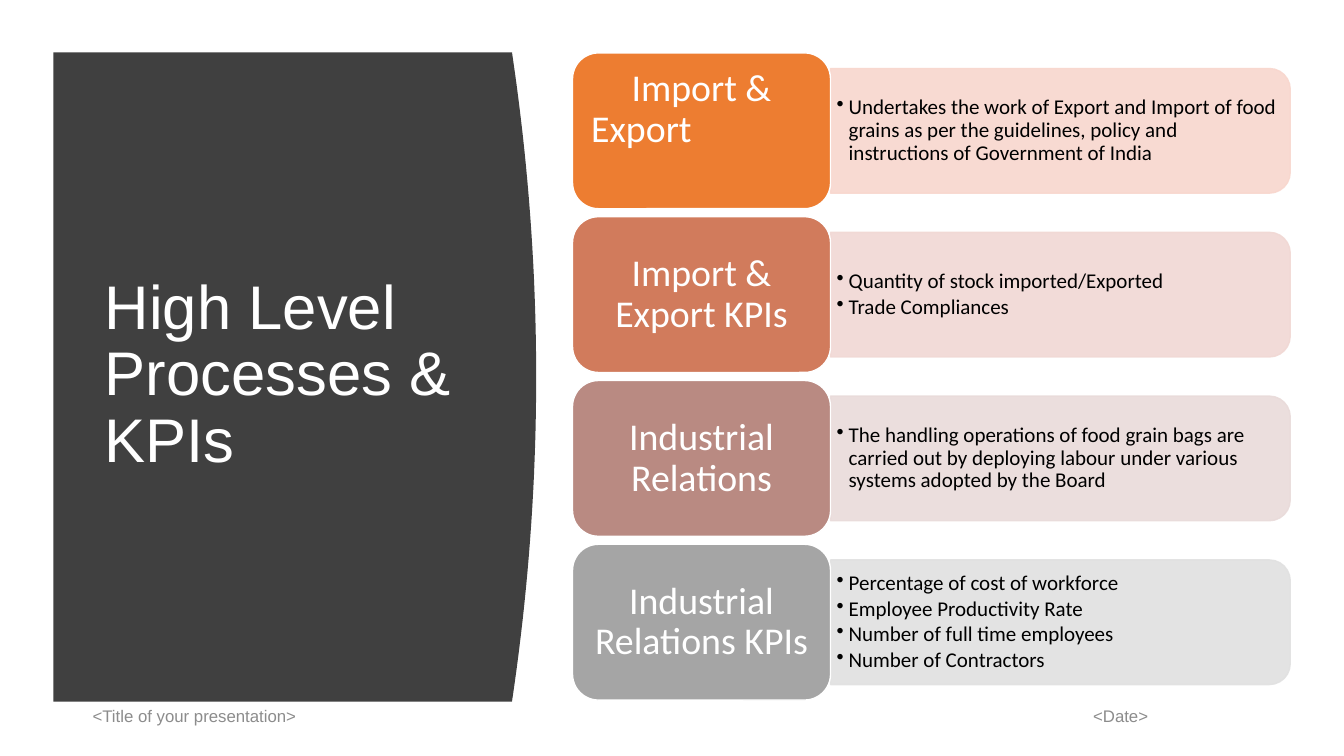
from dataclasses import dataclass

import pptx
import pptx.dml.color
import pptx.enum.shapes
import pptx.enum.text
import pptx.oxml.ns
import pptx.util
from lxml import etree

RGBColor = pptx.dml.color.RGBColor
MSO_SHAPE = pptx.enum.shapes.MSO_SHAPE
MSO_ANCHOR = pptx.enum.text.MSO_ANCHOR
PP_ALIGN = pptx.enum.text.PP_ALIGN
Inches = pptx.util.Inches
Pt = pptx.util.Pt

WHITE = RGBColor(0xFF, 0xFF, 0xFF)
BLACK = RGBColor(0x00, 0x00, 0x00)
CHARCOAL = RGBColor(0x40, 0x40, 0x40)
FOOTER_GRAY = RGBColor(0x8C, 0x8C, 0x8C)

# The slide is a grid of 160 columns by 90 rows; all boxes are in cells.
COLUMNS, ROWS = 160, 90
SLIDE_WIDTH, SLIDE_HEIGHT = Inches(13.333), Inches(7.5)


@dataclass(frozen=True)
class Box:
    left: float
    top: float
    width: float
    height: float

    def emu(self) -> tuple[int, int, int, int]:
        return (across(self.left), down(self.top),
                across(self.width), down(self.height))


@dataclass(frozen=True)
class Process:
    label: tuple[str, ...]
    details: tuple[str, ...]
    card_color: RGBColor
    detail_color: RGBColor


@dataclass(frozen=True)
class Footer:
    text: str
    box: Box
    align: PP_ALIGN


PANEL = Box(6.36, 6.24, 54.6, 77.28)
PANEL_BULGE = 2.88
PANEL_STEPS = 40
TITLE = Box(11.28, 13.32, 44.88, 62.88)

CARD = Box(68.16, 6.3, 30.72, 18.55)
CARD_PITCH = 19.5
DETAIL_WIDTH, DETAIL_HEIGHT = 54.72, 14.84
DETAIL_TEXT_WIDTH, DETAIL_TEXT_HEIGHT = 54, 13.44

PROCESSES = (
    Process(("Import &", "Export"),
            ("Undertakes the work of Export and Import of food grains as per "
             "the guidelines, policy and instructions of Government of India",),
            RGBColor(0xED, 0x7D, 0x31), RGBColor(0xF8, 0xD7, 0xCE)),
    Process(("Import & Export KPIs",),
            ("Quantity of stock imported/Exported", "Trade Compliances"),
            RGBColor(0xD1, 0x7B, 0x5C), RGBColor(0xF1, 0xD8, 0xD4)),
    Process(("Industrial Relations",),
            ("The handling operations of food grain bags are carried out by "
             "deploying labour under various systems adopted by the Board",),
            RGBColor(0xB9, 0x8A, 0x82), RGBColor(0xE9, 0xDB, 0xDA)),
    Process(("Industrial Relations KPIs",),
            ("Percentage of cost of workforce", "Employee Productivity Rate",
             "Number of full time employees", "Number of Contractors"),
            RGBColor(0xA5, 0xA5, 0xA5), RGBColor(0xE1, 0xE1, 0xE1)),
)

FOOTERS = (
    Footer("<Title of your presentation>", Box(9.84, 83.4, 54, 4.8), PP_ALIGN.LEFT),
    Footer("<Date>", Box(101.88, 83.4, 36, 4.8), PP_ALIGN.RIGHT),
)


def across(columns: float) -> int:
    return round(SLIDE_WIDTH * columns / COLUMNS)


def down(rows: float) -> int:
    return round(SLIDE_HEIGHT * rows / ROWS)


def format_text(paragraph, size: float, font: str, color: RGBColor,
                align=PP_ALIGN.LEFT, line_spacing: float = 1.0) -> None:
    paragraph.alignment = align
    paragraph.line_spacing = line_spacing
    for run in paragraph.runs:
        run.font.size = Pt(size)
        run.font.name = font
        run.font.color.rgb = color


def set_insets(frame, side: float, end: float) -> None:
    frame.word_wrap = True
    frame.vertical_anchor = MSO_ANCHOR.MIDDLE
    frame.margin_left = frame.margin_right = Inches(side)
    frame.margin_top = frame.margin_bottom = Inches(end)


def paint(shape, fill: RGBColor, line: RGBColor) -> None:
    shape.shadow.inherit = False
    shape.fill.solid()
    shape.fill.fore_color.rgb = fill
    shape.line.color.rgb = line
    shape.line.width = Pt(1)


def add_bullet(paragraph) -> None:
    properties = paragraph._p.get_or_add_pPr()
    properties.set("marL", str(Inches(0.12)))
    properties.set("indent", str(Inches(-0.12)))
    bullet = etree.SubElement(properties, pptx.oxml.ns.qn("a:buChar"))
    bullet.set("char", "•")


def add_panel(slide) -> None:
    """Dark panel whose right edge bulges along a parabola."""
    edge = []
    for step in range(PANEL_STEPS + 1):
        share = step / PANEL_STEPS
        bulge = PANEL_BULGE * (1 - (2 * share - 1) ** 2)
        edge.append((across(PANEL.left + PANEL.width + bulge),
                     down(PANEL.top + PANEL.height * share)))
    left, top = across(PANEL.left), down(PANEL.top)
    builder = slide.shapes.build_freeform(left, top)
    builder.add_line_segments(edge + [(left, edge[-1][1])], close=True)
    panel = builder.convert_to_shape()
    paint(panel, CHARCOAL, CHARCOAL)
    panel.line.fill.background()


def add_title(slide) -> None:
    title = slide.shapes.title
    slide.shapes._spTree.append(title._element)  # in front of the panel
    title.left, title.top, title.width, title.height = TITLE.emu()
    frame = title.text_frame
    frame.text = "High Level Processes & KPIs"
    frame.auto_size = pptx.enum.text.MSO_AUTO_SIZE.NONE
    set_insets(frame, 0.1, 0.05)
    format_text(frame.paragraphs[0], 44, "Arial", WHITE, line_spacing=0.9)


def add_footer(slide, footer: Footer) -> None:
    frame = slide.shapes.add_textbox(*footer.box.emu()).text_frame
    frame.word_wrap = True
    frame.text = footer.text
    format_text(frame.paragraphs[0], 12, "Arial", FOOTER_GRAY, footer.align)


def add_details(slide, process: Process, middle: float) -> None:
    left = CARD.left + CARD.width

    # Bar with its two rounded corners turned to the right
    center_x, center_y = across(left + DETAIL_WIDTH / 2), down(middle)
    width, height = down(DETAIL_HEIGHT), across(DETAIL_WIDTH)
    bar = slide.shapes.add_shape(
        MSO_SHAPE.ROUND_2_SAME_RECTANGLE,
        center_x - width // 2, center_y - height // 2, width, height)
    bar.rotation = 90
    paint(bar, process.detail_color, process.detail_color)
    for color in bar._element.spPr.iter(pptx.oxml.ns.qn("a:srgbClr")):
        etree.SubElement(color, pptx.oxml.ns.qn("a:alpha")).set("val", "90000")

    # Bulleted text
    text_box = Box(left, middle - DETAIL_TEXT_HEIGHT / 2,
                   DETAIL_TEXT_WIDTH, DETAIL_TEXT_HEIGHT)
    frame = slide.shapes.add_textbox(*text_box.emu()).text_frame
    set_insets(frame, 0.06, 0.03)
    frame.text = "\n".join(process.details)
    for paragraph in frame.paragraphs:
        add_bullet(paragraph)
        paragraph.level = 1
        paragraph.space_after = Pt(2.25)
        format_text(paragraph, 15, "Calibri", BLACK, line_spacing=0.9)


def add_card(slide, process: Process, top: float) -> None:
    box = Box(CARD.left, top, CARD.width, CARD.height)
    card = slide.shapes.add_shape(MSO_SHAPE.ROUNDED_RECTANGLE, *box.emu())
    paint(card, process.card_color, WHITE)
    frame = card.text_frame
    set_insets(frame, 0.11, 0.06)
    frame.text = "\n".join(process.label)
    for index, paragraph in enumerate(frame.paragraphs):
        align = PP_ALIGN.LEFT if index else PP_ALIGN.CENTER
        format_text(paragraph, 27, "Calibri", WHITE, align, 0.9)
    if len(process.label) > 1:
        frame.margin_bottom = Inches(0.47)  # a split label sits half a line higher


def main() -> None:
    deck = pptx.Presentation()
    deck.slide_width, deck.slide_height = SLIDE_WIDTH, SLIDE_HEIGHT
    slide = deck.slides.add_slide(deck.slide_layouts[5])

    add_panel(slide)
    add_title(slide)
    for footer in FOOTERS:
        add_footer(slide, footer)
    for index, process in enumerate(PROCESSES):
        top = CARD.top + index * CARD_PITCH
        add_details(slide, process, top + CARD.height / 2)
        add_card(slide, process, top)

    deck.save("out.pptx")


if __name__ == "__main__":
    main()
